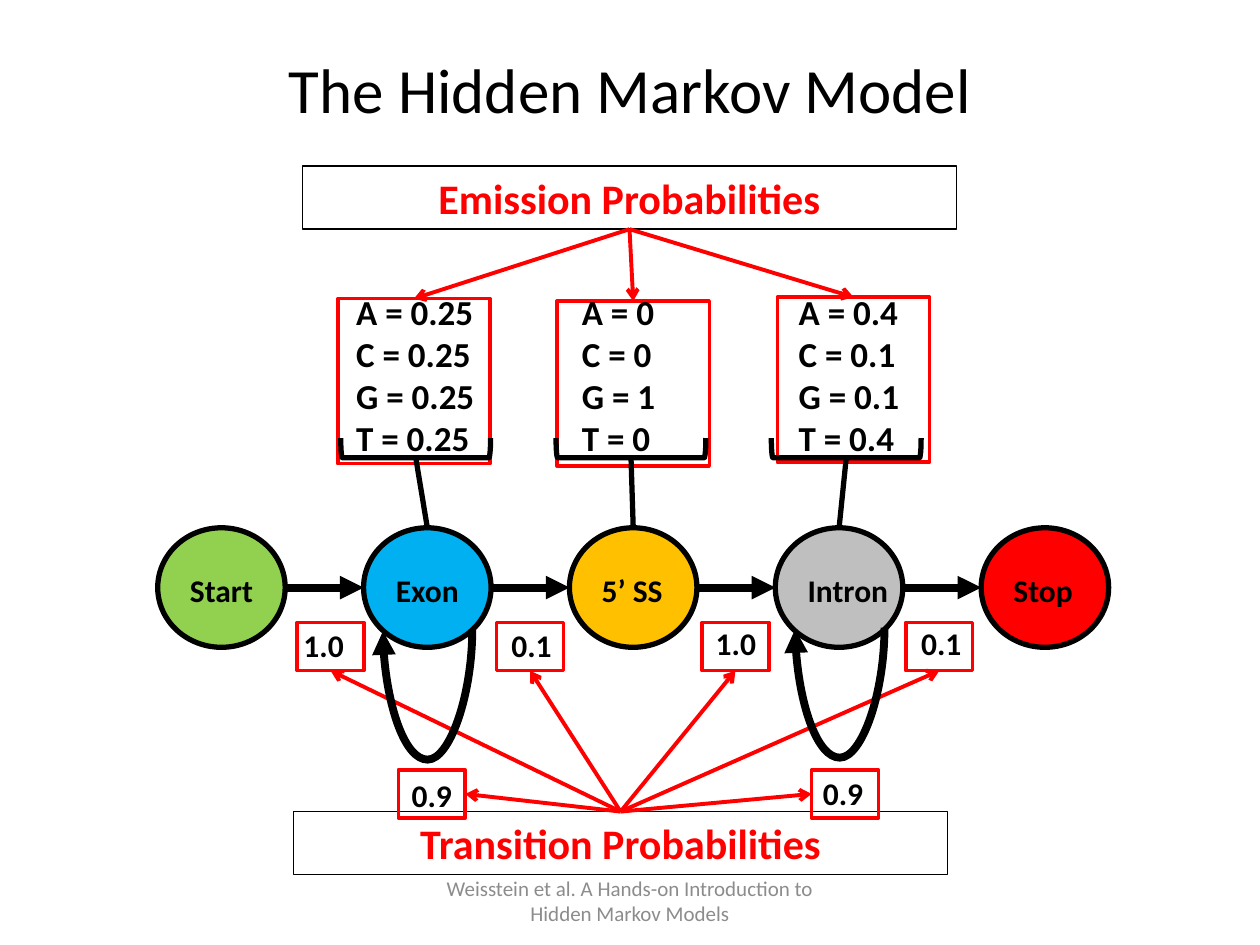
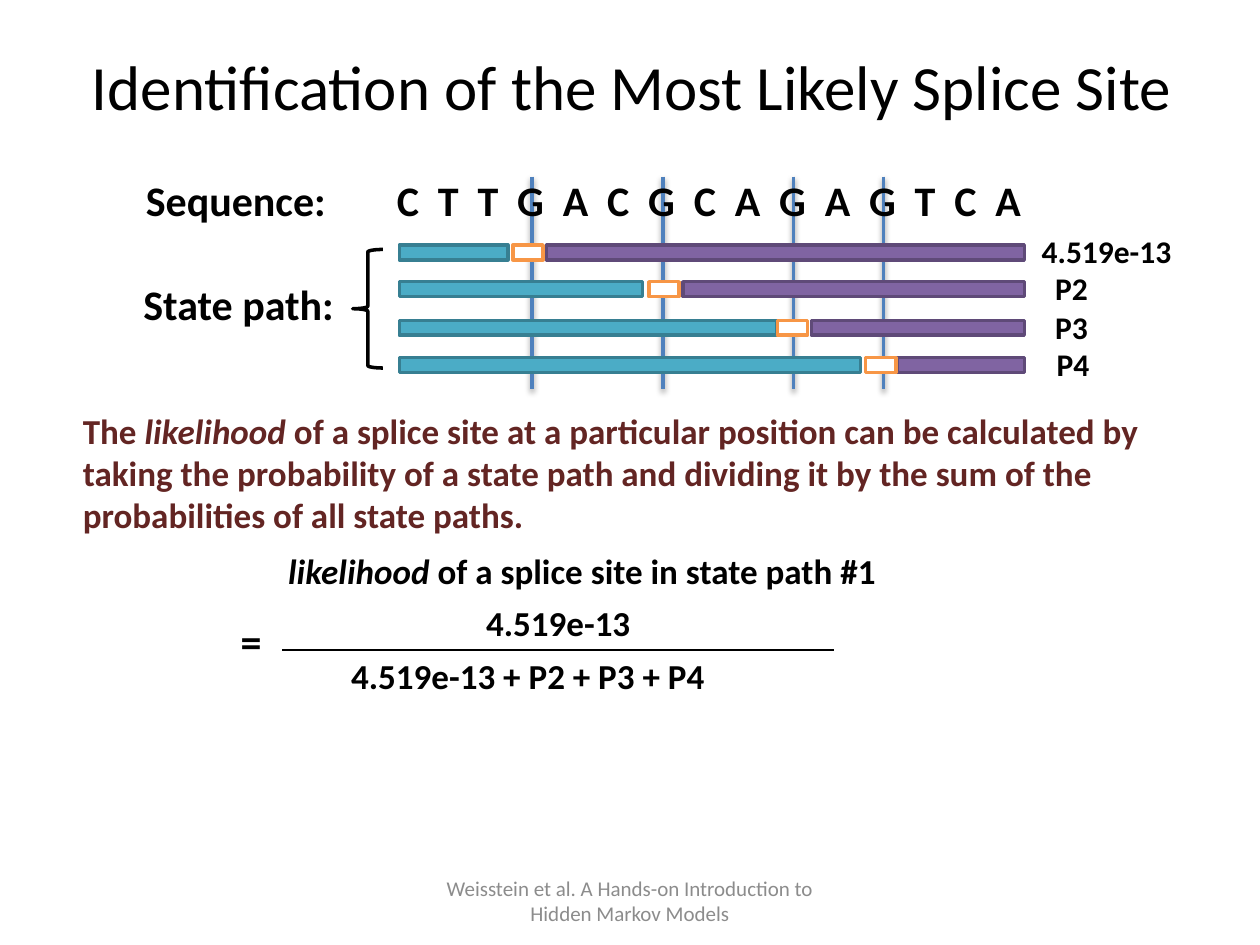
from dataclasses import dataclass

from pptx import Presentation
from pptx.dml.color import RGBColor
from pptx.enum.shapes import MSO_CONNECTOR, MSO_SHAPE
from pptx.enum.text import MSO_ANCHOR, PP_ALIGN
from pptx.oxml.ns import qn
from pptx.util import Cm, Pt
from lxml import etree

STRAIGHT, CURVE = MSO_CONNECTOR.STRAIGHT, MSO_CONNECTOR.CURVE
RECT, OVAL = MSO_SHAPE.RECTANGLE, MSO_SHAPE.OVAL
BRACKET, BRACE = MSO_SHAPE.LEFT_BRACKET, MSO_SHAPE.LEFT_BRACE
LEFT, CENTER = PP_ALIGN.LEFT, PP_ALIGN.CENTER
TOP, MIDDLE = MSO_ANCHOR.TOP, MSO_ANCHOR.MIDDLE
SIDE_TOP, SIDE_LEFT, SIDE_BOTTOM, SIDE_RIGHT = range(4)


@dataclass(frozen=True)
class Theme:
    font: str = "Calibri"
    ink: str = "000000"
    accent: str = "FF0000"
    muted: str = "8C8C8C"
    note: str = "632523"
    paper: str = "FFFFFF"
    guide: str = "4F81BD"
    exon: tuple = ("4BACC6", "377F92")
    site: tuple = ("FFFFFF", "F79646")
    intron: tuple = ("8064A2", "5F4A78")
    title: int = 36
    heading: int = 24
    body: int = 20
    label: int = 18
    footer: int = 12


T = Theme()

# ---- Content (lengths in cm) ----
FOOTER = "Weisstein et al. A Hands-on Introduction to Hidden Markov Models"

STATES = [("Start", "92D050"), ("Exon", "00B0F0"), ("5’ SS", "FFC000"),
          ("Intron", "BFBFBF"), ("Stop", "FF0000")]
STATE_X, STATE_Y, STATE_W, STATE_H, STATE_PITCH = 3.18, 10.64, 2.57, 2.41, 4.15

# state index, box left, box top, text left, values
EMISSIONS = [
    (1, 6.81, 6.02, 6.93, ["A = 0.25", "C = 0.25", "G = 0.25", "T = 0.25"]),
    (2, 11.23, 6.07, 11.48, ["A = 0", "C = 0", "G = 1", "T = 0"]),
    (3, 15.67, 5.99, 15.85, ["A = 0.4", "C = 0.1", "G = 0.1", "T = 0.4"]),
]
BRACKET_X, BRACKET_PITCH = 8.38, 4.34

# value, box left, box top, text left, text top, side the arrow meets
TRANSITIONS = [
    ("1.0", 5.99, 12.55, 5.74, 12.5, SIDE_BOTTOM),
    ("0.1", 10.01, 12.55, 9.93, 12.5, SIDE_BOTTOM),
    ("1.0", 14.15, 12.55, 14.05, 12.45, SIDE_BOTTOM),
    ("0.1", 18.26, 12.55, 18.19, 12.45, SIDE_BOTTOM),
    ("0.9", 8.03, 15.52, 7.92, 15.52, SIDE_RIGHT),
    ("0.9", 16.36, 15.52, 16.21, 15.47, SIDE_LEFT),
]
LOOPS = [(8.62, 12.71), (16.93, 12.67)]

SEQUENCE = "CTTGACGCAGAGTCA"
GUIDES = [10.72, 13.36, 16, 17.81]
# label, label left, top, exon end, splice site left, intron left
PATHS = [
    ("4.519e-13", 20.75, 4.94, 10.24, 10.34, 11.02),
    ("P2", 21.02, 5.68, 12.95, 13.08, 13.77),
    ("P3", 21.02, 6.46, 15.67, 15.67, 16.36),
    ("P4", 21.05, 7.21, 17.35, 17.45, 18.08),
]
PATH_START, PATH_END, BAR_H, SITE_W = 8.05, 20.65, 0.3, 0.61

# Asterisks switch italics on and off.
# text, left, top, width, height, size, colour
SPLICE_TEXTS = [
    ("Sequence:", 2.69, 3.4, 4.83, 1.27, T.heading, T.ink),
    ("State path:", 2.64, 5.49, 4.83, 1.27, T.heading, T.ink),
    ("The *likelihood* of a splice site at a particular position can be "
     "calculated by taking the probability of a state path and dividing it by "
     "the sum of the probabilities of all state paths.",
     1.42, 8.13, 22.99, 2.82, T.body, T.note),
    ("*likelihood* of a splice site in state path #1",
     5.56, 10.95, 12.75, 1.12, T.body, T.ink),
    ("=", 4.6, 12.29, 0.94, 1.27, T.heading, T.ink),
    ("4.519e-13", 9.55, 12.01, 3.45, 1.12, T.body, T.ink),
    ("4.519e-13 + P2 + P3 + P4", 6.83, 13.06, 7.7, 1.12, T.body, T.ink),
]


# ---- Drawing helpers ----
def rgb(color):
    return RGBColor.from_string(color)


def write(sp, paragraphs, size, color=T.ink, bold=True, align=LEFT, anchor=TOP):
    tf = sp.text_frame
    tf.word_wrap = True
    tf.vertical_anchor = anchor
    for i, text in enumerate(paragraphs):
        p = tf.add_paragraph() if i else tf.paragraphs[0]
        p.alignment = align
        p.font.name, p.font.size, p.font.bold = T.font, Pt(size), bold
        p.font.color.rgb = rgb(color)
        for j, part in enumerate(text.split("*")):
            if part:
                r = p.add_run()
                r.text = part
                if j % 2:
                    r.font.italic = True
    return sp


def add_text(slide, paragraphs, x, y, w, h, size, color=T.ink, **style):
    sp = slide.shapes.add_textbox(Cm(x), Cm(y), Cm(w), Cm(h))
    return write(sp, paragraphs, size, color, **style)


def add_box(slide, kind, x, y, w, h, line, weight, fill=None):
    sp = slide.shapes.add_shape(kind, Cm(x), Cm(y), Cm(w), Cm(h))
    sp.shadow.inherit = False
    if fill:
        sp.fill.solid()
        sp.fill.fore_color.rgb = rgb(fill)
    else:
        sp.fill.background()
    sp.line.color.rgb = rgb(line)
    sp.line.width = Pt(weight)
    return sp


def add_line(slide, x1, y1, x2, y2, color, weight, end=None, kind=STRAIGHT):
    c = slide.shapes.add_connector(kind, Cm(x1), Cm(y1), Cm(x2), Cm(y2))
    c.line.color.rgb = rgb(color)
    c.line.width = Pt(weight)
    spPr = c._element.spPr
    if end:
        etree.SubElement(spPr.find(qn("a:ln")), qn("a:tailEnd"), type=end)
    etree.SubElement(spPr, qn("a:effectLst"))
    return c


def add_soft_shadow(c):
    effects = c._element.spPr.find(qn("a:effectLst"))
    shadow = etree.SubElement(effects, qn("a:outerShdw"), blurRad="40000",
                              dist="20000", dir="5400000", rotWithShape="0")
    color = etree.SubElement(shadow, qn("a:srgbClr"), val=T.ink)
    etree.SubElement(color, qn("a:alpha"), val="38000")


def join(slide, start, start_side, end, end_side):
    c = add_line(slide, 0, 0, 1, 1, T.accent, 2.25, "arrow")
    c.begin_connect(start, start_side)
    c.end_connect(end, end_side)


def add_loop(slide, cx, cy, span=1.8, rise=0.03, depth=2.62):
    """Curve hanging below a state, turned a quarter so that it opens upwards."""
    c = add_line(slide, cx - rise / 2, cy - span / 2, cx + rise / 2,
                 cy + span / 2, T.ink, 4.5, "triangle", CURVE)
    spPr = c._element.spPr
    spPr.find(qn("a:xfrm")).set("rot", "5400000")
    guides = spPr.find(qn("a:prstGeom")).find(qn("a:avLst"))
    etree.SubElement(guides, qn("a:gd"), name="adj1",
                     fmla=f"val {round(depth / rise * 100000)}")


def add_banner(slide, text, x, y):
    sp = add_box(slide, RECT, x, y, 13.18, 1.27, T.ink, 0.75, T.paper)
    return write(sp, [text], T.heading, T.accent, align=CENTER)


def new_slide(prs, title, x, y, w):
    slide = prs.slides.add_slide(prs.slide_layouts[5])
    sp = slide.shapes.title
    sp.left, sp.top, sp.width, sp.height = Cm(x), Cm(y), Cm(w), Cm(3.18)
    write(sp, [title], T.title, bold=False, align=CENTER, anchor=MIDDLE)
    add_text(slide, [FOOTER], 8.68, 17.65, 8.04, 1.01, T.footer, T.muted,
             bold=False, align=CENTER, anchor=MIDDLE)
    return slide


# ---- Slides ----
def build_model(prs):
    slide = new_slide(prs, "The Hidden Markov Model", 1.9, 0.18, 21.6)
    emission = add_banner(slide, "Emission Probabilities", 6.1, 3.35)
    transition = add_banner(slide, "Transition Probabilities", 5.92, 16.36)

    # Red boxes and the arrows that point at them
    for _, x, y, _, _ in EMISSIONS:
        box = add_box(slide, RECT, x, y, 3.07, 3.33, T.accent, 2)
        join(slide, emission, SIDE_BOTTOM, box, SIDE_TOP)
    for _, x, y, _, _, side in TRANSITIONS:
        box = add_box(slide, RECT, x, y, 1.35, 0.97, T.accent, 2)
        join(slide, transition, SIDE_TOP, box, side)

    # Chain of states
    mid_y = STATE_Y + STATE_H / 2
    for i, (name, fill) in enumerate(STATES):
        x = STATE_X + i * STATE_PITCH
        add_box(slide, OVAL, x, STATE_Y, STATE_W, STATE_H, T.ink, 3, fill)
        add_text(slide, [name], x + 0.4, 11.38, 2.18, 0.97, T.label)
        if i < len(STATES) - 1:
            add_line(slide, x + STATE_W, mid_y, x + STATE_PITCH, mid_y,
                     T.ink, 4.5, "triangle")
    for cx, cy in LOOPS:
        add_loop(slide, cx, cy)

    # Values, with a bracket tying each emission list to its state
    for value, _, _, x, y, _ in TRANSITIONS:
        add_text(slide, [value], x, y, 1.57, 0.97, T.label, align=CENTER)
    for i, (state, _, _, x, values) in enumerate(EMISSIONS):
        cx = BRACKET_X + i * BRACKET_PITCH
        bracket = add_box(slide, BRACKET, cx - 0.2, 7.52, 0.4, 3.02, T.ink, 3)
        bracket.rotation = 270
        top_x = STATE_X + state * STATE_PITCH + STATE_W / 2
        add_line(slide, top_x, STATE_Y, cx, 9.22, T.ink, 3)
        add_text(slide, values, x, 5.74, 2.95, 3.68, T.body)


def build_splice_site(prs):
    slide = new_slide(prs, "Identification of the Most Likely Splice Site",
                      1.07, 0.13, 23.34)
    for x in GUIDES:
        add_soft_shadow(add_line(slide, x, 3.56, x, 7.85, T.guide, 2))

    # Sequence, spread by character spacing
    sp = add_text(slide, [" ".join(SEQUENCE)], 7.75, 3.4, 13.64, 1.27, T.heading)
    r = sp.text_frame.paragraphs[0].runs[0]
    r._r.get_or_add_rPr().set("spc", "270")

    # State paths
    for label, label_x, y, exon_end, site_x, intron_x in PATHS:
        bars = [(PATH_START, exon_end, T.exon),
                (intron_x, PATH_END, T.intron),
                (site_x, site_x + SITE_W, T.site)]
        for start, end, (fill, line) in bars:
            add_box(slide, RECT, start, y, end - start, BAR_H, line, 2, fill)
        add_text(slide, [label], label_x, y - 0.38, 3.15, 1.01, T.label)
    add_box(slide, BRACE, 7.11, 5.03, 0.61, 2.39, T.ink, 2)

    # Explanation and fraction
    for text, *place in SPLICE_TEXTS:
        add_text(slide, [text], *place)
    add_line(slide, 5.69, 13.11, 16.81, 13.11, T.ink, 1)


def main():
    prs = Presentation()
    prs.slide_width, prs.slide_height = Cm(25.4), Cm(19.05)
    build_model(prs)
    build_splice_site(prs)
    prs.save("out.pptx")


if __name__ == "__main__":
    main()
